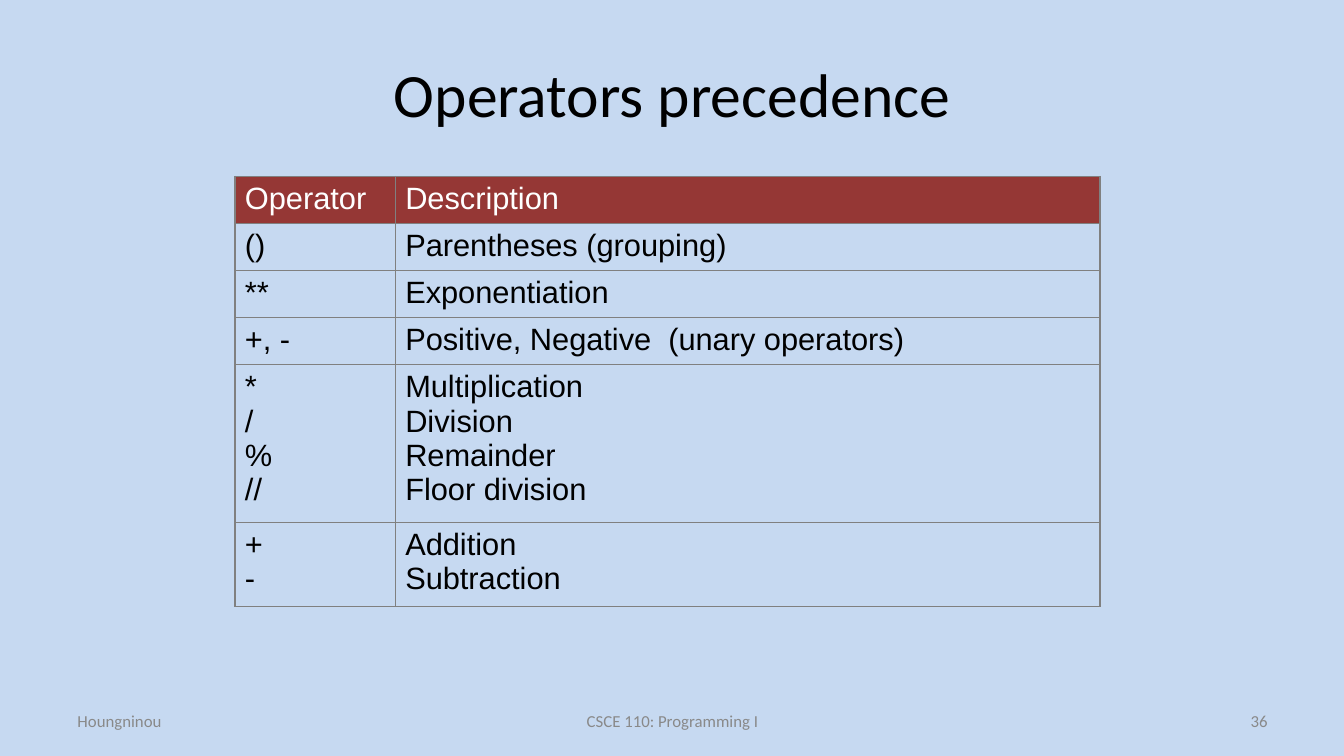
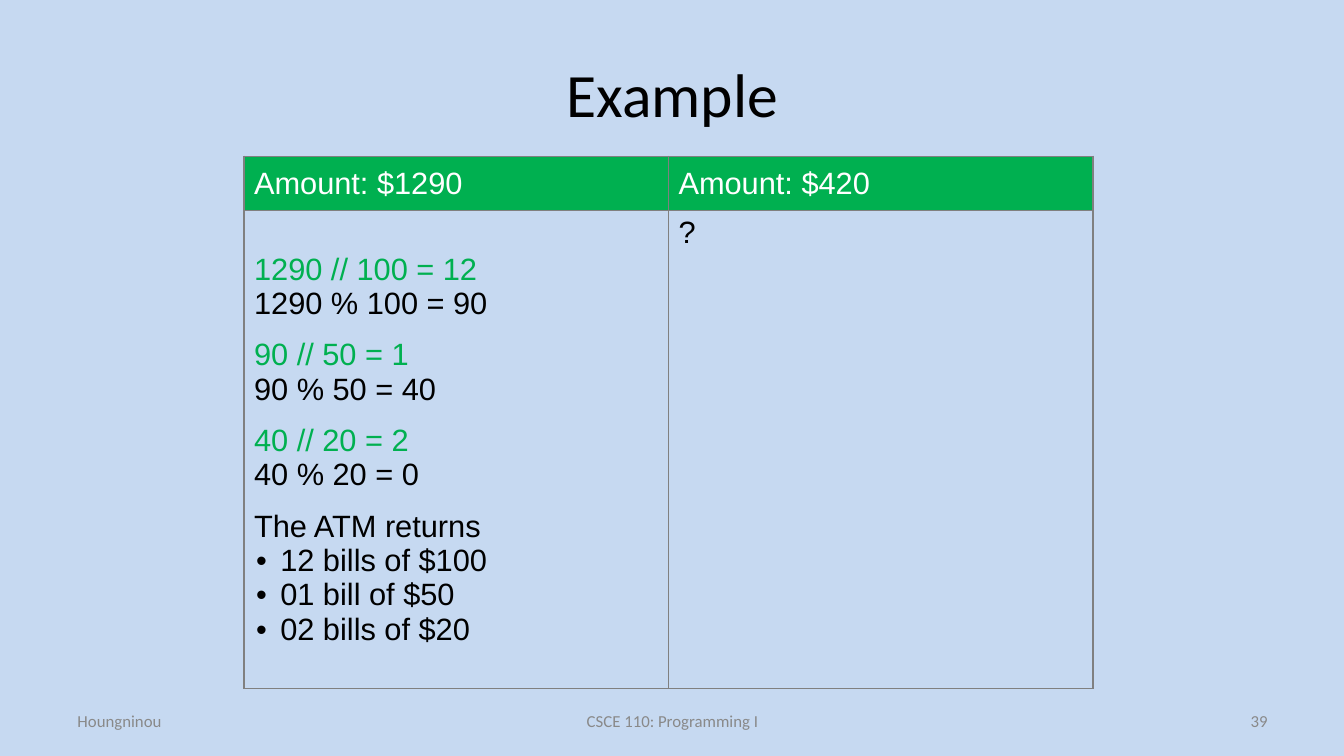
from lxml.etree import SubElement
from pptx import Presentation
from pptx.dml.color import RGBColor
from pptx.enum.text import MSO_ANCHOR, PP_ALIGN
from pptx.oxml.ns import qn
from pptx.util import Inches, Pt

# Shared style
BACKGROUND = RGBColor(0xC6, 0xD9, 0xF1)
BLACK = RGBColor(0, 0, 0)
WHITE = RGBColor(0xFF, 0xFF, 0xFF)
GRAY = RGBColor(0x89, 0x89, 0x89)
RED = RGBColor(0x95, 0x37, 0x35)
GREEN = RGBColor(0x00, 0xB0, 0x50)
BORDER = "808080"
HEADING_FONT, TABLE_FONT = "Calibri", "Arial"
TABLE_SIZE = 22
LINE_HEIGHT, CELL_PADDING = 0.34, 0.1
FOOTER_TOP, FOOTER_HEIGHT = 6.95, 0.4

# Content
AUTHOR, COURSE = "Houngninou", "CSCE 110: Programming I"
PRECEDENCE = [
    (["Operator"], ["Description"]),
    (["()"], ["Parentheses (grouping)"]),
    (["**"], ["Exponentiation"]),
    (["+, -"], ["Positive, Negative  (unary operators)"]),
    (["*", "/", "%", "//"],
     ["Multiplication", "Division", "Remainder", "Floor division"]),
    (["+", "-"], ["Addition", "Subtraction"]),
]
DIVISIONS = [
    ("1290 // 100 = 12", "1290 % 100 = 90"),
    ("90 // 50 = 1", "90 % 50 = 40"),
    ("40 // 20 = 2", "40 % 20 = 0"),
]
BILLS = ["12 bills of $100", "01 bill of $50", "02 bills of $20"]


def style_paragraph(paragraph, text, font_name, size, color):
    paragraph.text = text
    paragraph.font.name = font_name
    paragraph.font.size = Pt(size)
    paragraph.font.color.rgb = color


def add_text(slide, text, box, size, color, align):
    shape = slide.shapes.add_textbox(*map(Inches, box))
    frame = shape.text_frame
    frame.word_wrap = True
    frame.vertical_anchor = MSO_ANCHOR.MIDDLE
    paragraph = frame.paragraphs[0]
    paragraph.alignment = align
    style_paragraph(paragraph, text, HEADING_FONT, size, color)


def add_base_slide(presentation, title, number):
    """Blank slide with the background, title and footers."""
    slide = presentation.slides.add_slide(presentation.slide_layouts[6])
    slide.background.fill.solid()
    slide.background.fill.fore_color.rgb = BACKGROUND
    add_text(slide, title, (0.67, 0.3, 12, 1.25), 44, BLACK, PP_ALIGN.CENTER)
    footers = [
        (AUTHOR, 0.67, 3.11, PP_ALIGN.LEFT),
        (COURSE, 4.56, 4.22, PP_ALIGN.CENTER),
        (str(number), 9.56, 3.11, PP_ALIGN.RIGHT),
    ]
    for text, left, width, align in footers:
        box = (left, FOOTER_TOP, width, FOOTER_HEIGHT)
        add_text(slide, text, box, 12, GRAY, align)
    return slide


def add_borders(cell):
    properties = cell._tc.get_or_add_tcPr()
    for side in ("a:lnL", "a:lnR", "a:lnT", "a:lnB"):
        line = SubElement(properties, qn(side), w=str(Pt(1)))
        fill = SubElement(line, qn("a:solidFill"))
        SubElement(fill, qn("a:srgbClr"), val=BORDER)


def add_bullet(paragraph):
    properties = paragraph._p.get_or_add_pPr()
    properties.set("marL", str(Inches(0.26)))
    properties.set("indent", str(Inches(-0.24)))
    SubElement(properties, qn("a:buFont"), typeface=TABLE_FONT)
    SubElement(properties, qn("a:buChar"), char="•")


def fill_cell(cell, lines, color):
    """Each line is a string, or a tuple (text, color, space after, bullet)."""
    frame = cell.text_frame
    for index, line in enumerate(lines):
        text, line_color, space_after, bullet = (
            (line, color, 0, False) if isinstance(line, str) else line)
        paragraph = frame.add_paragraph() if index else frame.paragraphs[0]
        if bullet:
            add_bullet(paragraph)
        if space_after:
            paragraph.space_after = Pt(space_after)
        style_paragraph(paragraph, text, TABLE_FONT, TABLE_SIZE, line_color)


def add_grid(slide, rows, left, top, widths, heights, header_color):
    frame = slide.shapes.add_table(
        len(rows), len(widths), Inches(left), Inches(top),
        Inches(sum(widths)), Inches(sum(heights)))
    table = frame.table
    table.first_row = table.horz_banding = False
    for column, width in zip(table.columns, widths):
        column.width = Inches(width)
    for row_index, (row, height) in enumerate(zip(rows, heights)):
        table.rows[row_index].height = Inches(height)
        for column_index, lines in enumerate(row):
            cell = table.cell(row_index, column_index)
            add_borders(cell)
            if row_index == 0:
                cell.fill.solid()
                cell.fill.fore_color.rgb = header_color
            else:
                cell.fill.background()
            fill_cell(cell, lines, BLACK if row_index else WHITE)
    return table


def build_precedence(presentation):
    slide = add_base_slide(presentation, "Operators precedence", 36)
    heights = [CELL_PADDING + LINE_HEIGHT * len(row[0]) for row in PRECEDENCE]
    add_grid(slide, PRECEDENCE, 2.33, 1.75, (1.59, 6.99), heights, RED)


def build_example(presentation):
    slide = add_base_slide(presentation, "Example", 39)
    steps = []
    for quotient, remainder in DIVISIONS:
        steps += [(quotient, GREEN, 0, False), (remainder, BLACK, 12, False)]
    steps.append("The ATM returns")
    steps += [(bill, BLACK, 0, True) for bill in BILLS]
    rows = [(["Amount: $1290"], ["Amount: $420"]), (steps, ["?"])]
    table = add_grid(slide, rows, 2.42, 1.55, (4.21, 4.21), (0.54, 4.74), GREEN)
    for row, column in ((0, 0), (0, 1), (1, 0)):
        table.cell(row, column).vertical_anchor = MSO_ANCHOR.MIDDLE


def main():
    presentation = Presentation()
    presentation.slide_width = Inches(13.33)
    presentation.slide_height = Inches(7.5)
    build_precedence(presentation)
    build_example(presentation)
    presentation.save("out.pptx")


if __name__ == "__main__":
    main()
